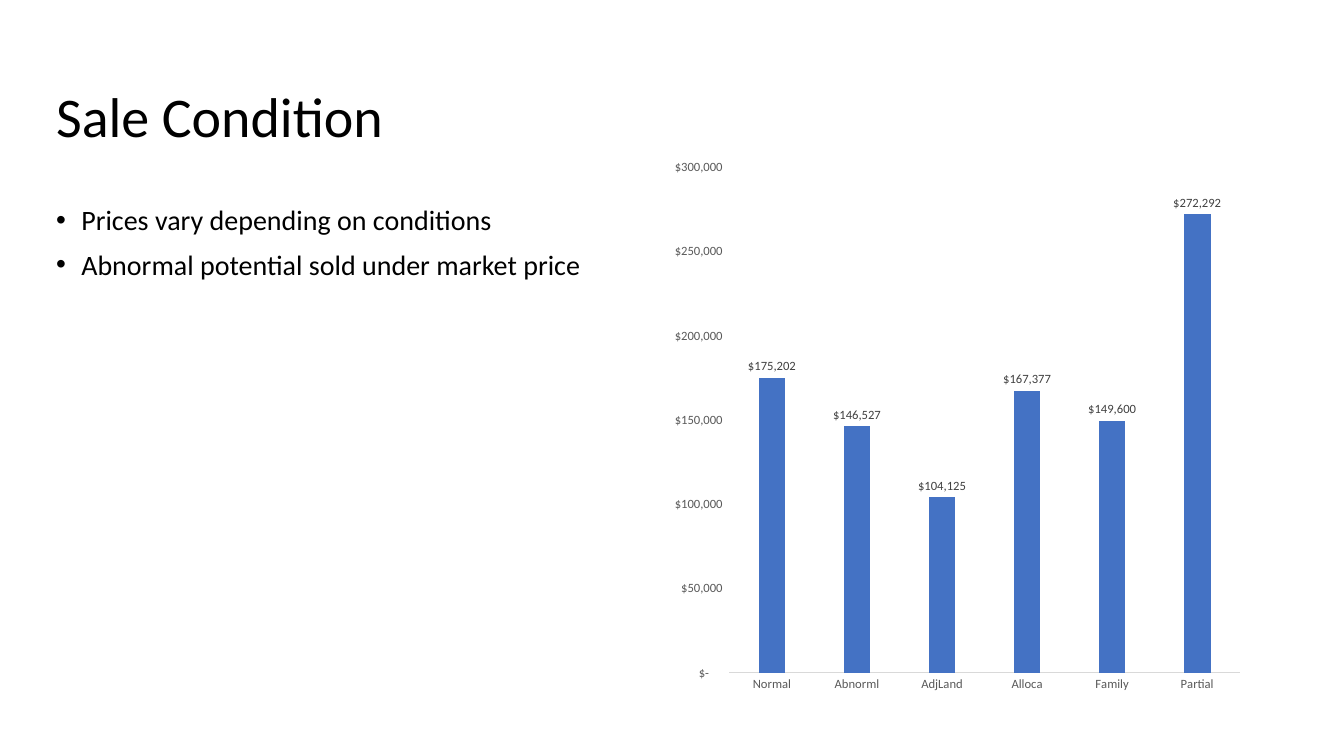
from dataclasses import dataclass
from lxml.etree import SubElement
from pptx import Presentation
from pptx.chart.data import CategoryChartData
from pptx.dml.color import RGBColor as RGB
from pptx.enum.chart import XL_CHART_TYPE as Chart, XL_LABEL_POSITION as LabelPos, XL_TICK_MARK as Tick
from pptx.enum.text import MSO_ANCHOR as Anchor
from pptx.oxml.ns import qn
from pptx.util import Pt


@dataclass(frozen=True)
class Theme:
    """Colours, font and type sizes of the slide."""
    font: str = "Calibri"
    text: str = "000000"
    axis: str = "595959"
    label: str = "404040"
    rule: str = "D9D9D9"
    bar: str = "4472C4"
    title_size: int = 40
    body_size: int = 20
    chart_size: int = 10
    label_size: int = 9


T = Theme()
MONEY = '_("$"* #,##0_);_("$"* \\(#,##0\\);_("$"* "-"??_);_(@_)'
PRICES = {"Normal": 175202, "Abnorml": 146527, "AdjLand": 104125,
          "Alloca": 167377, "Family": 149600, "Partial": 272292}
POINTS = ["Prices vary depending on conditions",
          "Abnormal potential sold under market price"]


def set_attrs(obj, values):
    """Set each attribute named in a dict."""
    for name, value in values.items():
        setattr(obj, name, value)


def set_font(font, size, color):
    """Apply the theme font in a size and colour."""
    set_attrs(font, {"name": T.font, "size": Pt(size), "bold": False})
    font.color.rgb = RGB.from_string(color)


def add_text(s, box, lines, size, anchor=Anchor.TOP, space=0):
    """Write lines as paragraphs in a box and return the paragraphs."""
    tf = s.shapes.add_textbox(*map(Pt, box)).text_frame
    set_attrs(tf, {"word_wrap": True, "vertical_anchor": anchor})
    for i, line in enumerate(lines):
        p = tf.add_paragraph() if i else tf.paragraphs[0]
        set_attrs(p, {"line_spacing": 0.9, "space_before": Pt(space)})
        r = p.add_run()
        r.text = line
        set_font(r.font, size, T.text)
    return tf.paragraphs


def add_title(s, box):
    """Place the slide title."""
    add_text(s, box, ["Sale Condition"], T.title_size, Anchor.MIDDLE)


def add_bullets(s, box):
    """Place the bulleted findings."""
    indent = Pt(18)
    for p in add_text(s, box, POINTS, T.body_size, space=10):
        pPr = p._p.get_or_add_pPr()
        pPr.set("marL", str(indent))
        pPr.set("indent", str(-indent))
        SubElement(pPr, qn("a:buFont"), typeface="Arial")
        SubElement(pPr, qn("a:buChar"), char="•")


def add_price_chart(s, box):
    """Place the column chart of price by sale condition."""
    data = CategoryChartData(number_format=MONEY)
    data.categories = list(PRICES)
    data.add_series("Series 1", list(PRICES.values()))
    chart = s.shapes.add_chart(Chart.COLUMN_CLUSTERED, *map(Pt, box), data).chart
    set_attrs(chart, {"has_title": False, "has_legend": False})
    set_font(chart.font, T.chart_size, T.text)

    cat, val = chart.category_axis, chart.value_axis
    for axis in (cat, val):
        set_attrs(axis, {"major_tick_mark": Tick.NONE, "minor_tick_mark": Tick.NONE,
                         "has_major_gridlines": False})
        set_font(axis.tick_labels.font, T.label_size, T.axis)
    cat.format.line.color.rgb = RGB.from_string(T.rule)
    cat.format.line.width = Pt(0.75)
    val.format.line.fill.background()
    set_attrs(val, {"minimum_scale": 0, "maximum_scale": 300000, "major_unit": 50000})

    plot = chart.plots[0]
    set_attrs(plot, {"gap_width": 219, "overlap": -27, "vary_by_categories": False,
                     "has_data_labels": True})
    fill = plot.series[0].format.fill
    fill.solid()
    fill.fore_color.rgb = RGB.from_string(T.bar)
    labels = plot.data_labels
    set_attrs(labels, {"show_value": True, "position": LabelPos.OUTSIDE_END})
    set_font(labels.font, T.label_size, T.label)
    for numbers in (val.tick_labels, labels):
        set_attrs(numbers, {"number_format": MONEY, "number_format_is_linked": False})


def main():
    """Build and save the slide."""
    prs = Presentation()
    set_attrs(prs, {"slide_width": Pt(960), "slide_height": Pt(540)})
    s = prs.slides.add_slide(prs.slide_layouts[6])
    left = 33
    add_bullets(s, (left, 144, 400, 63))
    add_price_chart(s, (471.5, 106.5, 422.5, 395.5))
    add_title(s, (left, 33, 248.5, 104.5))
    prs.save("out.pptx")


if __name__ == "__main__":
    main()
